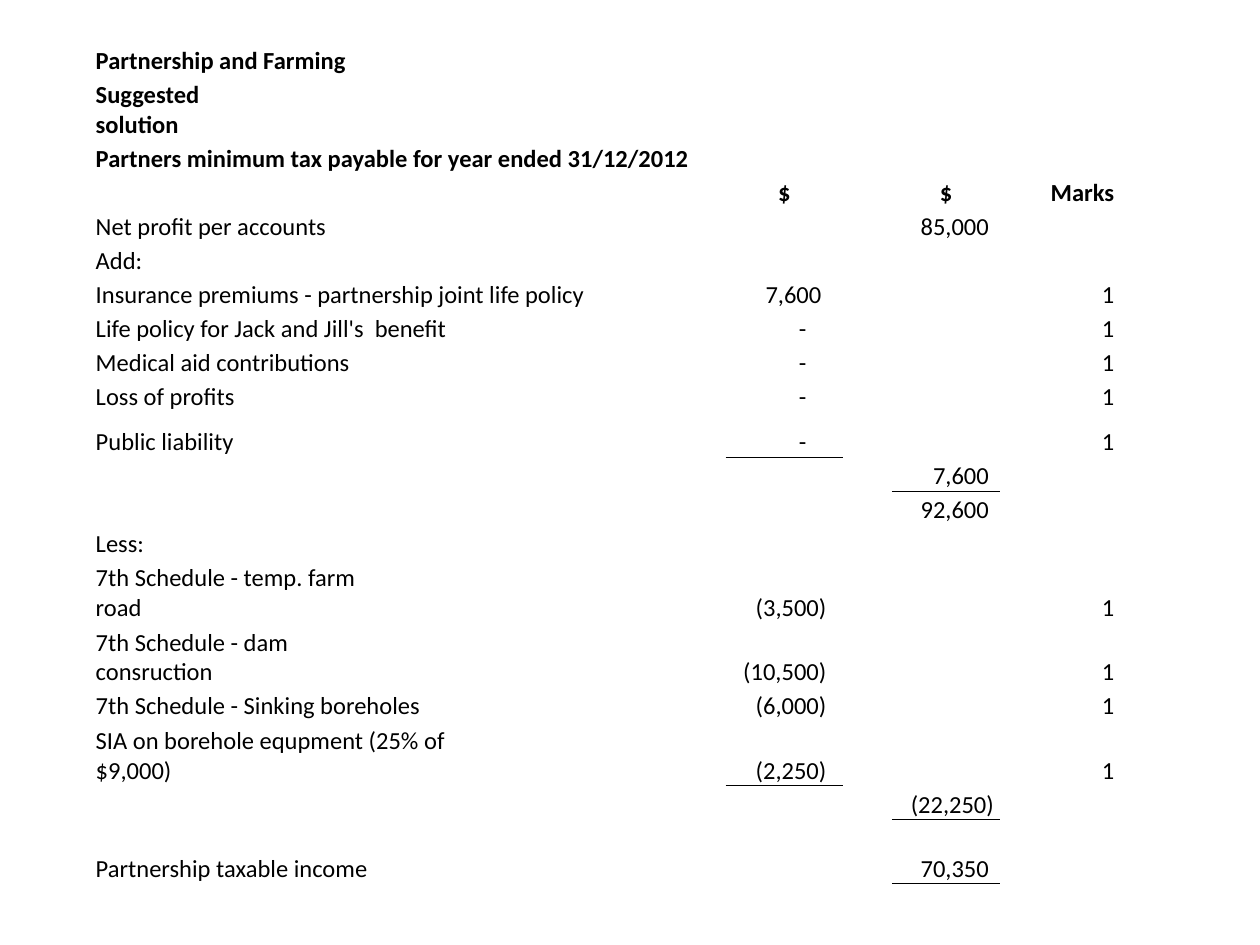
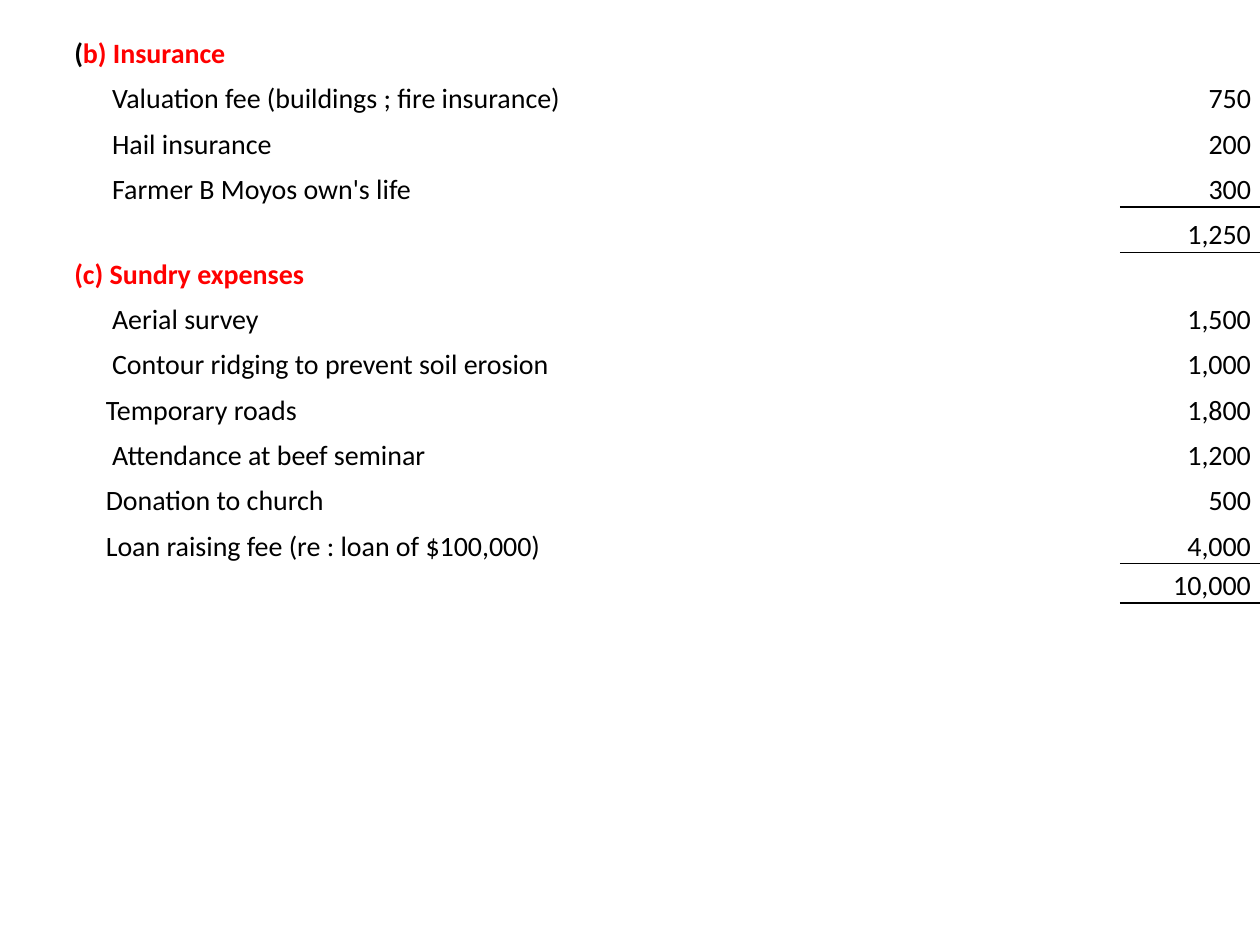
import pptx
import pptx.util
import pptx.dml.color
import pptx.enum.text
import pptx.oxml.ns
import lxml.etree

FONT = "Calibri"
BLACK, RED = "000000", "FF0000"
NO_STYLE = "{2D5ABB26-0587-4C30-8999-92F81FD0307C}"
ALIGN = pptx.enum.text.PP_ALIGN
qn = pptx.oxml.ns.qn
inch = pptx.util.Inches


def rgb(value):
    return pptx.dml.color.RGBColor.from_string(value)


def write(cell, runs, size, bold=False, align=ALIGN.LEFT, spacing=None):
    """Fill a cell with (text, colour) runs."""
    p = cell.text_frame.paragraphs[0]
    p.alignment = align
    if spacing:
        p.line_spacing = spacing
    for text, colour in runs:
        r = p.add_run()
        r.text = text
        r.font.name, r.font.size, r.font.bold = FONT, pptx.util.Pt(size), bold
        r.font.color.rgb = rgb(colour)


# Rows: height, style, label, columns the label spans, other cells, ruled column
LINE, TALL = 0.27, 0.51
tax_rows = [
    (LINE, "head", "Partnership and Farming", 3, {}, None),
    (TALL, "head", "Suggested solution", 2, {}, None),
    (LINE, "head", "Partners minimum tax payable for year ended 31/12/2012", 6, {}, None),
    (LINE, "head", "", 1, {6: "$", 8: "$", 10: "Marks"}, None),
    (LINE, "item", "Net profit per accounts", 3, {8: "85,000"}, None),
    (LINE, "item", "Add:", 1, {}, None),
    (LINE, "item", "Insurance premiums - partnership joint life policy", 5, {6: "7,600", 10: "1"}, None),
    (LINE, "item", "Life policy for Jack and Jill's  benefit", 4, {6: "-", 10: "1"}, None),
    (LINE, "item", "Medical aid contributions", 3, {6: "-", 10: "1"}, None),
    (LINE, "item", "Loss of profits", 2, {6: "-", 10: "1"}, None),
    (0.36, "item", "Public liability", 2, {6: "-", 10: "1"}, 6),
    (LINE, "item", "", 1, {8: "7,600"}, 8),
    (LINE, "item", "", 1, {8: "92,600"}, None),
    (LINE, "item", "Less:", 1, {}, None),
    (TALL, "item", "7th Schedule - temp. farm road", 3, {6: "(3,500)", 10: "1"}, None),
    (TALL, "item", "7th Schedule - dam consruction", 3, {6: "(10,500)", 10: "1"}, None),
    (LINE, "item", "7th Schedule - Sinking boreholes", 4, {6: "(6,000)", 10: "1"}, None),
    (TALL, "item", "SIA on borehole equpment (25% of $9,000)", 4, {6: "(2,250)", 10: "1"}, 6),
    (LINE, "item", "", 1, {8: "(22,250)"}, 8),
    (TALL, "item", "Partnership taxable income", 3, {8: "70,350"}, 8),
]

STEP, SHORT = 0.36, 0.18
expense_rows = [
    (SHORT, "head", "(b) Insurance", 2, {}, None),
    (STEP, "item", "Valuation fee (buildings ; fire insurance)", 5, {8: "750"}, None),
    (STEP, "item", "Hail insurance", 2, {8: "200"}, None),
    (STEP, "item", "Farmer B Moyos own's life", 4, {8: "300"}, 8),
    (STEP, "item", "", 1, {8: "1,250"}, 8),
    (SHORT, "head", "(c) Sundry expenses", 3, {}, None),
    (STEP, "item", "Aerial survey", 2, {8: "1,500"}, None),
    (STEP, "item", "Contour ridging to prevent soil erosion", 5, {8: "1,000"}, None),
    (STEP, "near", "Temporary roads", 3, {8: "1,800"}, None),
    (STEP, "item", "Attendance at beef seminar", 4, {8: "1,200"}, None),
    (STEP, "near", "Donation to church", 3, {8: "500"}, None),
    (STEP, "near", "Loan raising fee (re : loan of $100,000)", 5, {8: "4,000"}, 8),
    (SHORT, "item", "", 1, {8: "10,000"}, 8),
    (STEP, "item", "", 1, {}, None),
]

# Per slide: place, grid, text size, label indents, right margins of amounts
pages = [
    dict(left=0.75, top=0.33, rows=tax_rows, size=14, spacing=None, rule=0.5,
         cols=[0.74] * 3 + [0.93] * 4 + [0.39, 0.86, 0.39, 0.93],
         side=0.01, above=0.01, indent={"head": 0.01, "item": 0.01},
         right={6: 0.17, 8: 0.09}, heading=BLACK),
    dict(left=0.33, top=0.25, rows=expense_rows, size=16, spacing=1.15, rule=1,
         cols=[1.27, 1.66, 0.26, 1, 1, 1, 1.02, 1, 1.14],
         side=0.06, above=0, indent={"head": 0.26, "item": 0.56, "near": 0.51},
         right={8: 0.1}, heading=RED),
]

prs = pptx.Presentation()
prs.slide_width, prs.slide_height = inch(10), inch(7.5)

for page in pages:
    s = prs.slides.add_slide(prs.slide_layouts[6])
    rows, cols, size = page["rows"], page["cols"], page["size"]
    frame = s.shapes.add_table(len(rows), len(cols), inch(page["left"]), inch(page["top"]),
                               inch(sum(cols)), inch(sum(row[0] for row in rows)))
    table = frame.table
    table.first_row = table.horz_banding = False
    table._tbl.tblPr.find(qn("a:tableStyleId")).text = NO_STYLE
    for column, width in zip(table.columns, cols):
        column.width = inch(width)

    # Plain bottom-anchored cells
    for cell in table.iter_cells():
        cell.fill.background()
        cell.vertical_anchor = pptx.enum.text.MSO_ANCHOR.BOTTOM
        cell.margin_left = cell.margin_right = inch(page["side"])
        cell.margin_top, cell.margin_bottom = inch(page["above"]), 0

    for i, (height, style, label, span, others, ruled) in enumerate(rows):
        table.rows[i].height = inch(height)
        bold = style == "head"

        # Label
        if label:
            cell = table.cell(i, 0)
            if span > 1:
                cell.merge(table.cell(i, span - 1))
            cell.margin_left = inch(page["indent"][style])
            runs = [(label, page["heading"] if bold else BLACK)]
            if label.startswith("(b)"):
                runs = [("(", BLACK), (label[1:], RED)]
            write(cell, runs, size, bold, spacing=page["spacing"])

        # Amounts and marks
        for col, text in others.items():
            cell = table.cell(i, col)
            align = ALIGN.LEFT if text == "Marks" else ALIGN.CENTER
            if col in page["right"] and text != "$":
                align = ALIGN.RIGHT
                shift = 0.12 if text == "-" else -0.04 if text.endswith(")") else 0
                cell.margin_right = inch(page["right"][col] + shift)
            write(cell, [(text, BLACK)], size, bold, align, page["spacing"])

        # Rule under a total
        if ruled is not None:
            tcPr = table.cell(i, ruled)._tc.get_or_add_tcPr()
            ln = lxml.etree.Element(qn("a:lnB"), w=str(pptx.util.Pt(page["rule"])))
            fill = lxml.etree.SubElement(ln, qn("a:solidFill"))
            lxml.etree.SubElement(fill, qn("a:srgbClr"), val=BLACK)
            tcPr.insert(0, ln)

    # Keep empty cells as low as the written ones
    for cell in table.iter_cells():
        if not cell.text_frame.text:
            p = cell.text_frame.paragraphs[0]
            lxml.etree.SubElement(p._p, qn("a:endParaRPr"), sz=str(size * 100))

prs.save("out.pptx")
